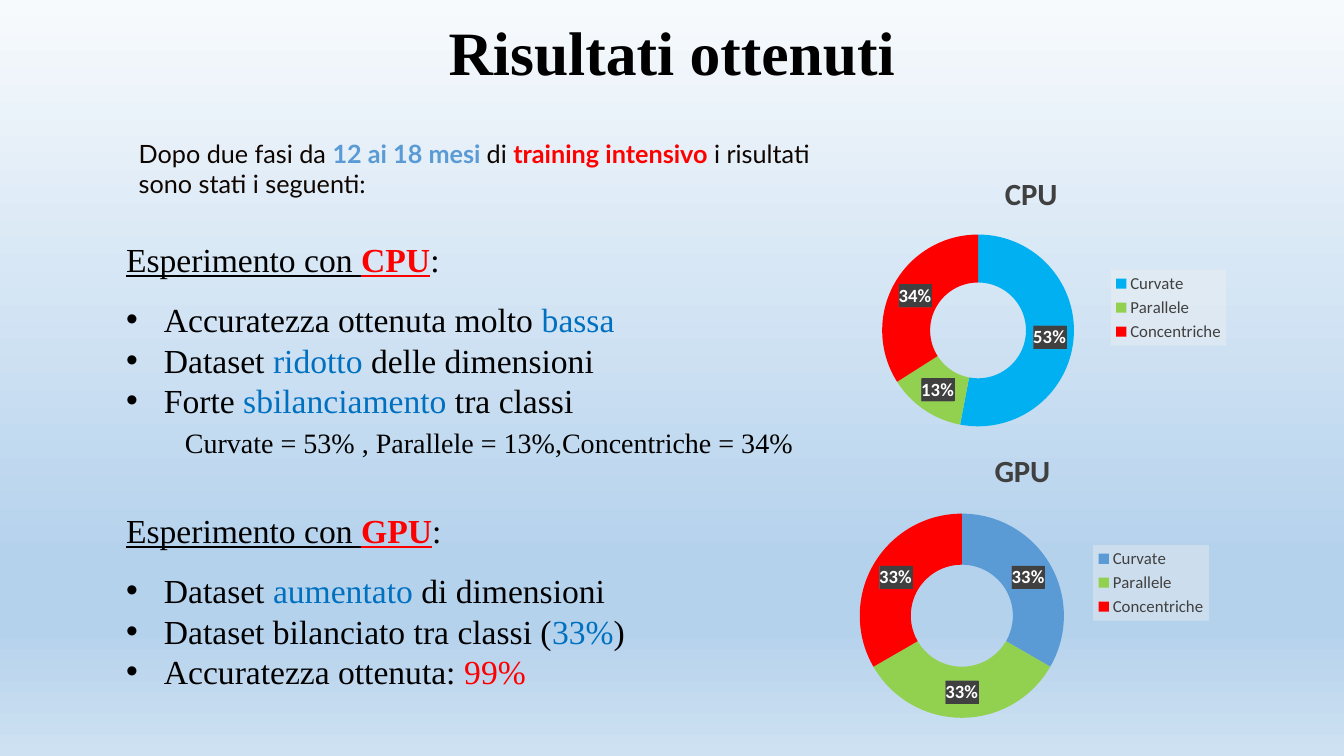
import pptx
import pptx.chart.data
import pptx.enum.chart
import pptx.enum.text
import pptx.oxml
import pptx.oxml.ns
import pptx.util
from pptx.dml.color import RGBColor

Pt = pptx.util.Pt
qn = pptx.oxml.ns.qn

COLORS = {
    "black": "000000", "red": "FF0000", "blue": "0070C0", "sky": "5B9BD5",
    "cyan": "00B0F0", "green": "92D050", "ink": "0E0500", "gray": "404040",
    "white": "FFFFFF", "pale": "F2F2F2",
}
BACKDROP = [(0, "F7FAFD"), (74, "B5D2EC"), (83, "B5D2EC"), (100, "CEE1F2")]
SERIF = "Times New Roman"
CLASSES = ["Curvate", "Parallele", "Concentriche"]


def xml(tag, body):
    uses = pptx.oxml.ns.nsdecls("a", "c")
    return pptx.oxml.parse_xml(f"<{tag} {uses}>{body}</{tag}>")


def style(font, size, color, name, bold=False, underline=None):
    font.size = Pt(size)
    font.color.rgb = RGBColor.from_string(COLORS[color])
    font.name = name
    font.bold = bold
    font.underline = underline


def paint_background(slide):
    fill = slide.background.fill
    fill.gradient()
    fill.gradient_angle = 270
    stops = slide.element.find(".//" + qn("a:gsLst"))
    for stop in list(stops):
        stops.remove(stop)
    for percent, color in BACKDROP:
        stop = xml("a:gs", f'<a:srgbClr val="{color}"/>')
        stop.set("pos", str(percent * 1000))
        stops.append(stop)


def text_area(slide, box):
    frame = slide.shapes.add_textbox(*map(Pt, box)).text_frame
    frame.word_wrap = True
    return frame


def add_runs(paragraph, runs, size, name):
    for text, color, *emphasis in runs:
        run = paragraph.add_run()
        run.text = text
        style(run.font, size, color, name, "b" in emphasis, "u" in emphasis)


def add_title(slide, box):
    paragraph = text_area(slide, box).paragraphs[0]
    paragraph.alignment = pptx.enum.text.PP_ALIGN.CENTER
    add_runs(paragraph, [("Risultati ottenuti", "black", "b")], 44, SERIF)


def add_intro(slide, box):
    add_runs(text_area(slide, box).paragraphs[0], [
        ("Dopo due fasi da ", "ink"), ("12 ai 18 mesi ", "sky", "b"), ("di ", "ink"),
        ("training intensivo", "red", "b"), (" i risultati sono stati i seguenti:", "ink"),
    ], 18, "Lato")


def add_experiment(slide, box, processor, findings, shares=None):
    frame = text_area(slide, box)
    add_runs(frame.paragraphs[0], [
        ("Esperimento con ", "black", "u"), (processor, "red", "b", "u"), (":", "black"),
    ], 24, SERIF)
    for index, finding in enumerate(findings):
        paragraph = frame.add_paragraph()
        if index == 0:
            paragraph.line_spacing = 1.5
        props = paragraph._p.get_or_add_pPr()
        props.set("marL", str(Pt(27)))
        props.set("indent", str(Pt(-27)))
        bullet_font = xml("a:buFont", "")
        bullet_font.set("typeface", "Arial")
        bullet = xml("a:buChar", "")
        bullet.set("char", "•")
        props.extend([bullet_font, bullet])
        add_runs(paragraph, finding, 24, SERIF)
    if shares:
        paragraph = frame.add_paragraph()
        paragraph.space_before = Pt(3.5)
        paragraph._p.get_or_add_pPr().set("marL", str(Pt(42)))
        add_runs(paragraph, [(shares, "black")], 20, SERIF)


def add_doughnut(slide, box, processor, values, slices, plot_box):
    data = pptx.chart.data.CategoryChartData()
    data.categories = CLASSES
    data.add_series(processor, values)
    chart = slide.shapes.add_chart(
        pptx.enum.chart.XL_CHART_TYPE.DOUGHNUT, *map(Pt, box), data).chart
    style(chart.font, 10, "black", "Calibri")

    chart.has_title = True
    heading = chart.chart_title.text_frame.paragraphs[0].add_run()
    heading.text = processor
    style(heading.font, 22, "gray", "Calibri", True)
    chart.chart_title.include_in_layout = False

    chart.has_legend = True
    legend = chart.legend
    legend.position = pptx.enum.chart.XL_LEGEND_POSITION.RIGHT
    legend.include_in_layout = False
    style(legend.font, 12, "gray", "Calibri")
    legend._element.find(qn("c:txPr")).addprevious(xml(
        "c:spPr", f'<a:solidFill><a:srgbClr val="{COLORS["pale"]}">'
        '<a:alpha val="39000"/></a:srgbClr></a:solidFill>'))

    plot = chart.plots[0]
    plot.vary_by_categories = True
    for index, color in enumerate(slices):
        fill = plot.series[0].points[index].format.fill
        fill.solid()
        fill.fore_color.rgb = RGBColor.from_string(COLORS[color])
    labels = plot.series[0].data_labels
    labels.show_percentage = True
    labels.show_value = False
    labels.number_format = "0%"
    labels.number_format_is_linked = False
    style(labels.font, 13.3, "white", "Calibri", True)
    labels._element.find(qn("c:txPr")).addprevious(xml(
        "c:spPr", '<a:pattFill prst="dkVert">'
        f'<a:fgClr><a:srgbClr val="{COLORS["gray"]}"/></a:fgClr>'
        '<a:bgClr><a:srgbClr val="595959"/></a:bgClr></a:pattFill>'))

    area = chart._chartSpace.find(".//" + qn("c:plotArea"))
    for layout in area.findall(qn("c:layout")):
        area.remove(layout)
    sides = "".join(f'<c:{side} val="{share}"/>' for side, share in zip("xywh", plot_box))
    area.insert(0, xml(
        "c:layout", '<c:manualLayout><c:layoutTarget val="inner"/>'
        '<c:xMode val="edge"/><c:yMode val="edge"/>' + sides + "</c:manualLayout>"))


def main():
    deck = pptx.Presentation()
    deck.slide_width, deck.slide_height = Pt(960), Pt(540)
    slide = deck.slides.add_slide(deck.slide_layouts[6])
    paint_background(slide)
    add_title(slide, (0, 6.5, 960, 60.5))
    add_doughnut(slide, (591, 111, 291, 217.5), "CPU", [53, 13, 34],
                 ["cyan", "green", "red"], (0.09, 0.26, 0.56, 0.63))
    add_experiment(slide, (83, 167, 606, 167), "CPU", [
        [("Accuratezza ottenuta molto ", "black"), ("bassa", "blue")],
        [("Dataset ", "black"), ("ridotto", "blue"), (" delle dimensioni", "black")],
        [("Forte", "black"), (" sbilanciamento", "blue"), (" tra classi", "black")],
    ], "Curvate = 53% , Parallele = 13%,Concentriche = 34%")
    add_doughnut(slide, (591, 309, 278.5, 214.5), "GPU", [33, 33, 33],
                 ["sky", "green", "red"], (0.08, 0.27, 0.53, 0.68))
    add_experiment(slide, (83, 360.5, 374, 138), "GPU", [
        [("Dataset ", "black"), ("aumentato", "blue"), (" di dimensioni", "black")],
        [("Dataset bilanciato tra classi (", "black"), ("33%", "blue"), (")", "black")],
        [("Accuratezza ottenuta: ", "black"), ("99%", "red")],
    ])
    add_intro(slide, (92, 95, 512, 51))
    deck.save("out.pptx")


if __name__ == "__main__":
    main()
